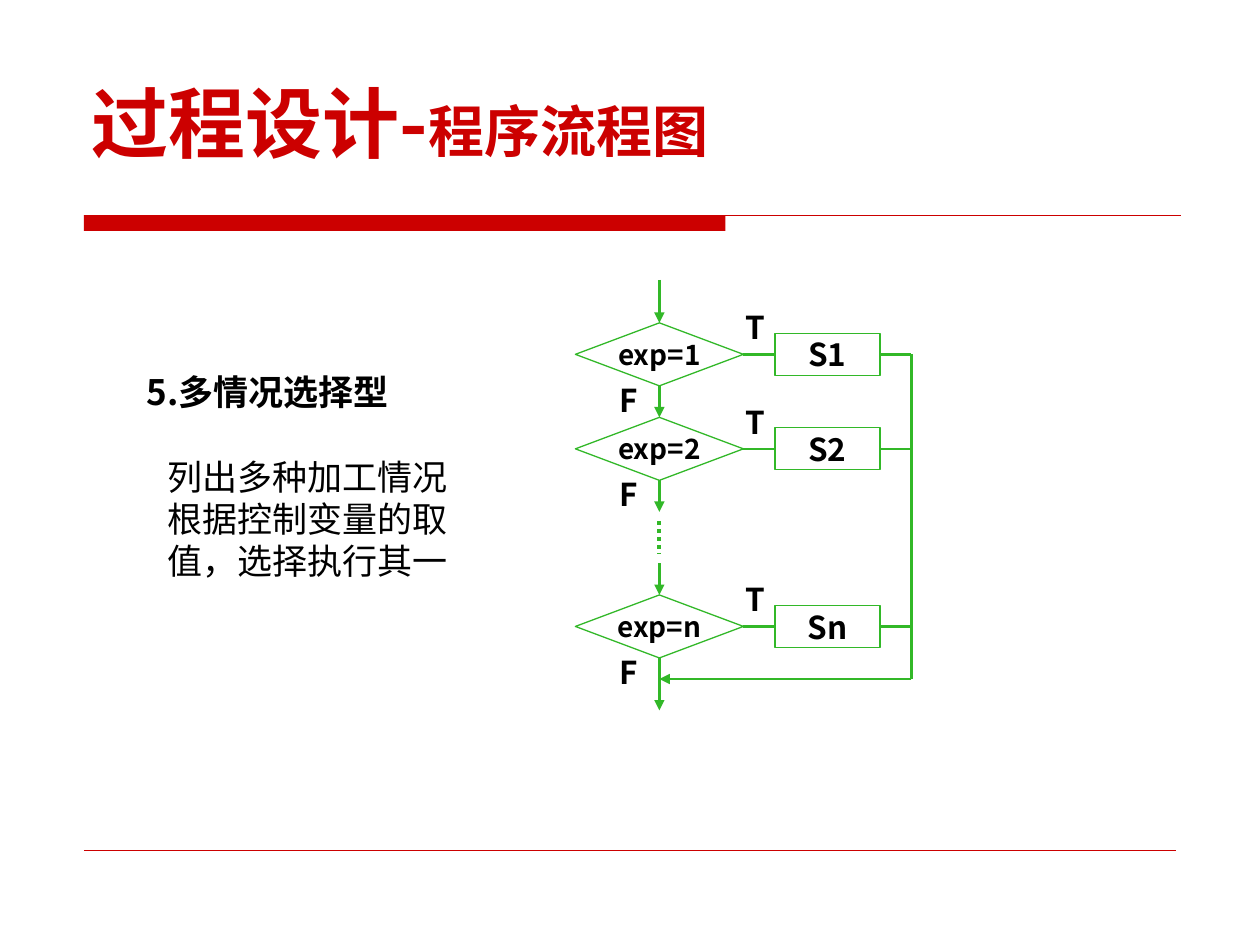
from lxml import etree
from pptx import Presentation
from pptx.dml.color import RGBColor
from pptx.enum import dml, shapes, text
from pptx.oxml.ns import qn
from pptx.util import Pt

COLORS = {"red": "CC0000", "green": "32B828", "black": "000000", "white": "FFFFFF"}
FONT = "Noto Sans CJK SC"

AXIS = 376.8
DECISION_W, DECISION_H = 96, 36
ACTION_W, ACTION_H = 60, 24
GAP = 18
DECISION_RIGHT = AXIS + DECISION_W / 2
ACTION_LEFT = DECISION_RIGHT + GAP
ACTION_RIGHT = ACTION_LEFT + ACTION_W
MERGE_X = ACTION_RIGHT + GAP
RETURN_Y = 388
CASES = [("1", 202.5), ("2", 256.5), ("n", 358)]


def rgb(color):
    return RGBColor.from_string(COLORS[color])


def style(paragraph, size, color="black", bold=True, align=text.PP_ALIGN.CENTER):
    paragraph.alignment = align
    font = paragraph.font
    font.size, font.bold = Pt(size), bold
    font.color.rgb = rgb(color)
    font.name = FONT
    properties = paragraph._p.pPr.find(qn("a:defRPr"))
    etree.SubElement(properties, qn("a:ea"), typeface=FONT)


def add_text(slide, box, content, size, wrap=False, **look):
    frame = slide.shapes.add_textbox(*map(Pt, box)).text_frame
    frame.word_wrap = wrap
    paragraph = frame.paragraphs[0]
    paragraph.add_run().text = content
    style(paragraph, size, **look)
    return frame


def add_line(slide, start, end, color="green", width=1.5, arrow=False, dash=None):
    line = slide.shapes.add_connector(
        shapes.MSO_CONNECTOR.STRAIGHT, *map(Pt, (*start, *end)))
    line.line.color.rgb = rgb(color)
    line.line.width = Pt(width)
    if dash:
        line.line.dash_style = dash
    if arrow:
        etree.SubElement(line.line._get_or_add_ln(), qn("a:tailEnd"), type="triangle")
    etree.SubElement(line._element.spPr, qn("a:effectLst"))


def add_node(slide, kind, center, extent, label, size):
    (x, y), (w, h) = center, extent
    node = slide.shapes.add_shape(kind, *map(Pt, (x - w / 2, y - h / 2, w, h)))
    node.shadow.inherit = False
    node.fill.solid()
    node.fill.fore_color.rgb = rgb("white")
    node.line.color.rgb = rgb("green")
    node.line.width = Pt(0.75)
    frame = node.text_frame
    frame.word_wrap = False
    frame.vertical_anchor = text.MSO_ANCHOR.MIDDLE
    paragraph = frame.paragraphs[0]
    paragraph.add_run().text = label
    style(paragraph, size)


def add_case(slide, name, y):
    add_node(slide, shapes.MSO_SHAPE.FLOWCHART_DECISION, (AXIS, y),
             (DECISION_W, DECISION_H), f"exp={name}", 16)
    add_node(slide, shapes.MSO_SHAPE.RECTANGLE, (ACTION_LEFT + ACTION_W / 2, y),
             (ACTION_W, ACTION_H), f"S{name}", 18)
    add_line(slide, (DECISION_RIGHT, y), (ACTION_LEFT, y))
    add_line(slide, (ACTION_RIGHT, y), (MERGE_X, y))
    add_text(slide, (419, y - 30, 25, 29), "T", 18)
    add_text(slide, (347, y + 11.5, 25, 29), "F", 18)


def add_flowchart(slide):
    for name, y in CASES:
        add_case(slide, name, y)
    first, second, last = [y for _, y in CASES]
    half = DECISION_H / 2
    flow = [(160, first - half), (first + half, second - half),
            (second + half, second + half + GAP),
            (last - half - GAP, last - half), (last + half, 406)]
    for top, bottom in flow:
        add_line(slide, (AXIS, top), (AXIS, bottom), arrow=True)
    add_line(slide, (AXIS, 298), (AXIS, 316), width=2.25,
             dash=dml.MSO_LINE.ROUND_DOT)
    add_line(slide, (MERGE_X, first), (MERGE_X, RETURN_Y))
    add_line(slide, (MERGE_X, RETURN_Y), (AXIS, RETURN_Y), arrow=True)


def add_frame(slide):
    bar = slide.shapes.add_shape(
        shapes.MSO_SHAPE.RECTANGLE, *map(Pt, (48, 123, 366.5, 9)))
    bar.shadow.inherit = False
    bar.fill.solid()
    bar.fill.fore_color.rgb = rgb("red")
    bar.line.fill.background()
    add_line(slide, (48, 123), (674.6, 123), "red", 0.75)
    add_line(slide, (48, 486), (672, 486), "red", 0.25)


def add_title(slide):
    title = add_text(slide, (45, 24, 630, 75.5), "过程设计-", 44, wrap=True,
                     color="red", align=text.PP_ALIGN.LEFT)
    title.vertical_anchor = text.MSO_ANCHOR.BOTTOM
    subtitle = title.paragraphs[0].add_run()
    subtitle.text = "程序流程图"
    subtitle.font.size = Pt(32)


def main():
    deck = Presentation()
    deck.slide_width, deck.slide_height = Pt(720), Pt(540)
    slide = deck.slides.add_slide(deck.slide_layouts[6])
    add_frame(slide)
    add_title(slide)
    add_text(slide, (73.5, 208, 159, 31.5), "5.多情况选择型", 20)
    add_text(slide, (88.5, 256.5, 191.5, 79),
             "列出多种加工情况根据控制变量的取值，选择执行其一", 20,
             wrap=True, bold=False, align=text.PP_ALIGN.LEFT)
    add_flowchart(slide)
    deck.save("out.pptx")


if __name__ == "__main__":
    main()
